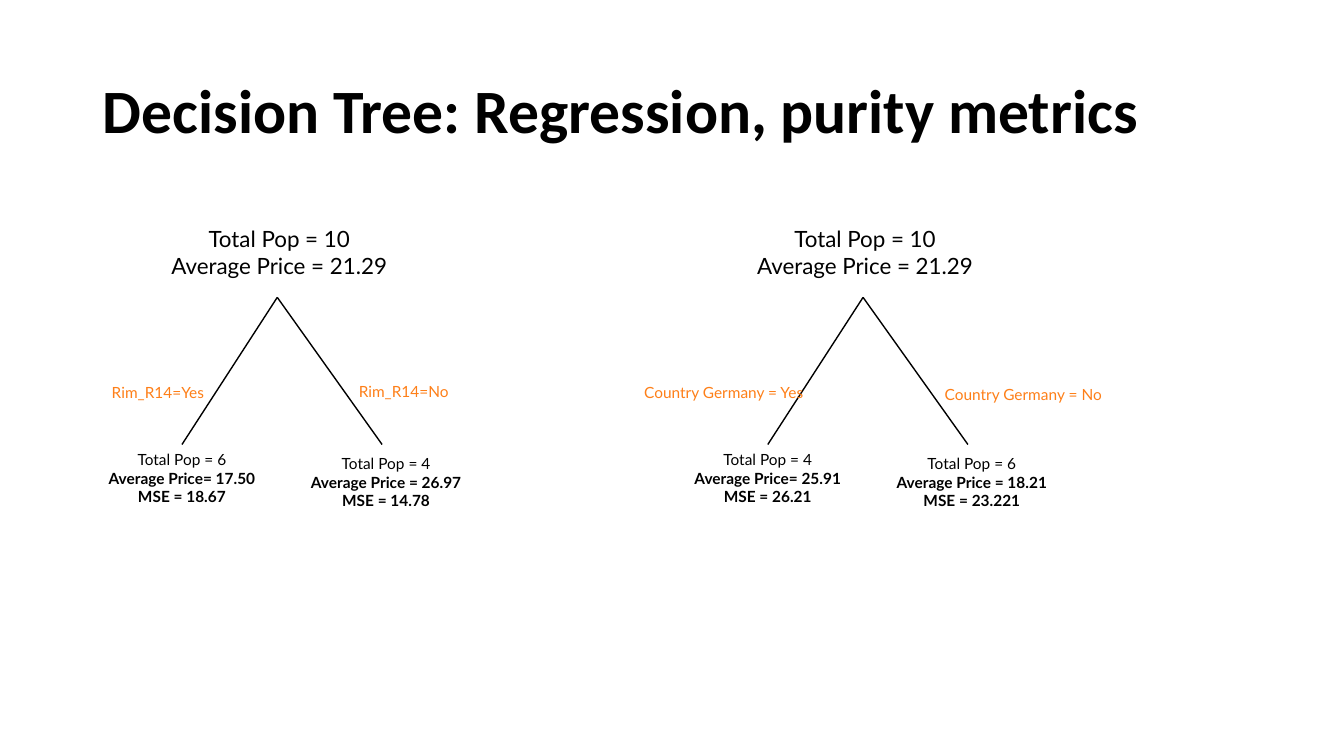
import dataclasses
import typing

import pptx
import pptx.dml.color
import pptx.enum.shapes
import pptx.enum.text
import pptx.oxml
import pptx.oxml.ns
import pptx.util

SCALE = 9144
Align = pptx.enum.text.PP_ALIGN
Anchor = pptx.enum.text.MSO_ANCHOR
Fit = pptx.enum.text.MSO_AUTO_SIZE


@dataclasses.dataclass(frozen=True)
class Theme:
    ink: str = "000000"
    paper: str = "FFFFFF"
    split: str = "FE7F18"
    head: str = "Calibri"
    body: str = "Lato"
    title: int = 44
    root: int = 16
    leaf: int = 11
    line: int = 1


class Box(typing.NamedTuple):
    left: int
    top: int
    width: int
    height: int


@dataclasses.dataclass(frozen=True)
class Node:
    box: Box
    lines: tuple[str, ...]
    size: int
    bold: int
    foot: int = 5


@dataclasses.dataclass(frozen=True)
class Label:
    box: Box
    text: str


@dataclasses.dataclass(frozen=True)
class Tree:
    left: int
    yes: tuple[str, ...]
    no: tuple[str, ...]
    labels: tuple[Label, Label]


THEME = Theme()
ROOT = ("Total Pop = 10", "Average Price = 21.29")
TREES = (
    Tree(
        86,
        ("Total Pop = 6", "Average Price= 17.50", "MSE = 18.67"),
        ("Total Pop = 4", "Average Price = 26.97", "MSE = 14.78"),
        (
            Label(Box(101, 375, 122, 29), "Rim_R14=Yes"),
            Label(Box(346, 374, 122, 29), "Rim_R14=No"),
        ),
    ),
    Tree(
        667,
        ("Total Pop = 4", "Average Price= 25.91", "MSE = 26.21"),
        ("Total Pop = 6", "Average Price = 18.21", "MSE = 23.221"),
        (
            Label(Box(629, 375, 181, 29), "Country Germany = Yes"),
            Label(Box(927, 377, 181, 29), "Country Germany = No"),
        ),
    ),
)


def px(count: int) -> pptx.util.Emu:
    return pptx.util.Emu(count * SCALE)


def place(box: Box) -> list[pptx.util.Emu]:
    return [px(side) for side in box]


def tint(code: str) -> pptx.dml.color.RGBColor:
    return pptx.dml.color.RGBColor.from_string(code)


def apply(target: typing.Any, form: dict[str, typing.Any]) -> None:
    for name, value in form.items():
        setattr(target, name, value)


def write(para: typing.Any, text: str, face: str, size: int, code: str, bold: bool) -> None:
    run = para.add_run()
    run.text = text
    apply(run.font, {"name": face, "size": pptx.util.Pt(size), "bold": bold})
    run.font.color.rgb = tint(code)


def draw_title(slide: typing.Any, text: str) -> None:
    title = slide.shapes.title
    names = ("left", "top", "width", "height")
    apply(title, dict(zip(names, place(Box(92, 40, 1150, 145)))))
    frame = title.text_frame
    apply(frame, {"word_wrap": True, "auto_size": Fit.NONE, "vertical_anchor": Anchor.MIDDLE})
    para = frame.paragraphs[0]
    apply(para, {"alignment": Align.LEFT, "line_spacing": 0.9})
    write(para, text, THEME.head, THEME.title, THEME.ink, True)


def draw_node(slide: typing.Any, node: Node) -> typing.Any:
    kind = pptx.enum.shapes.MSO_SHAPE.RECTANGLE
    shape = slide.shapes.add_shape(kind, *place(node.box))
    shape.shadow.inherit = False
    shape.fill.solid()
    shape.fill.fore_color.rgb = tint(THEME.paper)
    shape.line.fill.background()
    frame = shape.text_frame
    apply(frame, {"word_wrap": True, "vertical_anchor": Anchor.MIDDLE, "margin_bottom": px(node.foot)})
    for rank, text in enumerate(node.lines):
        para = frame.add_paragraph() if rank else frame.paragraphs[0]
        para.alignment = Align.CENTER
        write(para, text, THEME.body, node.size, THEME.ink, rank >= node.bold)
    return shape


def draw_branch(slide: typing.Any, start: tuple[int, int], end: tuple[int, int]) -> typing.Any:
    kind = pptx.enum.shapes.MSO_CONNECTOR.STRAIGHT
    branch = slide.shapes.add_connector(kind, *[px(side) for side in start + end])
    branch.line.color.rgb = tint(THEME.ink)
    branch.line.width = pptx.util.Pt(THEME.line)
    branch._element.spPr.append(pptx.oxml.parse_xml(f"<a:effectLst {pptx.oxml.ns.nsdecls('a')}/>"))
    return branch


def draw_label(slide: typing.Any, label: Label) -> None:
    frame = slide.shapes.add_textbox(*place(label.box)).text_frame
    apply(frame, {"word_wrap": True, "auto_size": Fit.SHAPE_TO_FIT_TEXT})
    write(frame.paragraphs[0], label.text, THEME.body, THEME.leaf, THEME.split, False)


def draw_tree(slide: typing.Any, tree: Tree) -> None:
    left = tree.left
    draw_node(slide, Node(Box(left + 42, 212, 298, 77), ROOT, THEME.root, len(ROOT)))
    yes = draw_node(slide, Node(Box(left, 441, 189, 85), tree.yes, THEME.leaf, 1, 23))
    draw_node(slide, Node(Box(left + 204, 447, 186, 62), tree.no, THEME.leaf, 1))
    fork = (left + 189, 295)
    draw_branch(slide, fork, (left + 94, 441)).end_connect(yes, 0)
    draw_branch(slide, fork, (left + 293, 441))
    for label in tree.labels:
        draw_label(slide, label)


def main() -> None:
    deck = pptx.Presentation()
    apply(deck, {"slide_width": px(1333), "slide_height": px(750)})
    slide = deck.slides.add_slide(deck.slide_layouts[5])
    draw_title(slide, "Decision Tree: Regression, purity metrics")
    for tree in TREES:
        draw_tree(slide, tree)
    deck.save("out.pptx")


if __name__ == "__main__":
    main()
